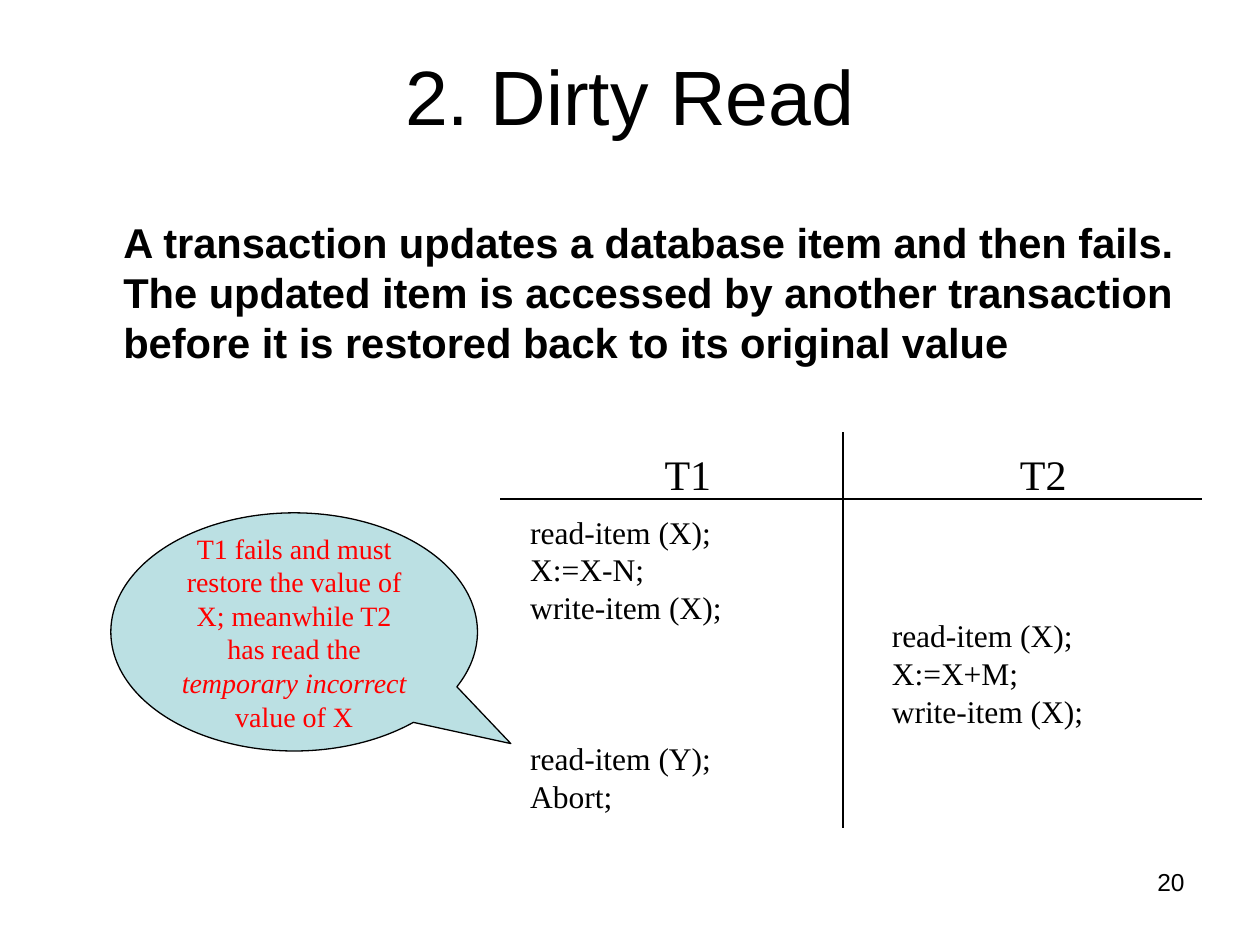
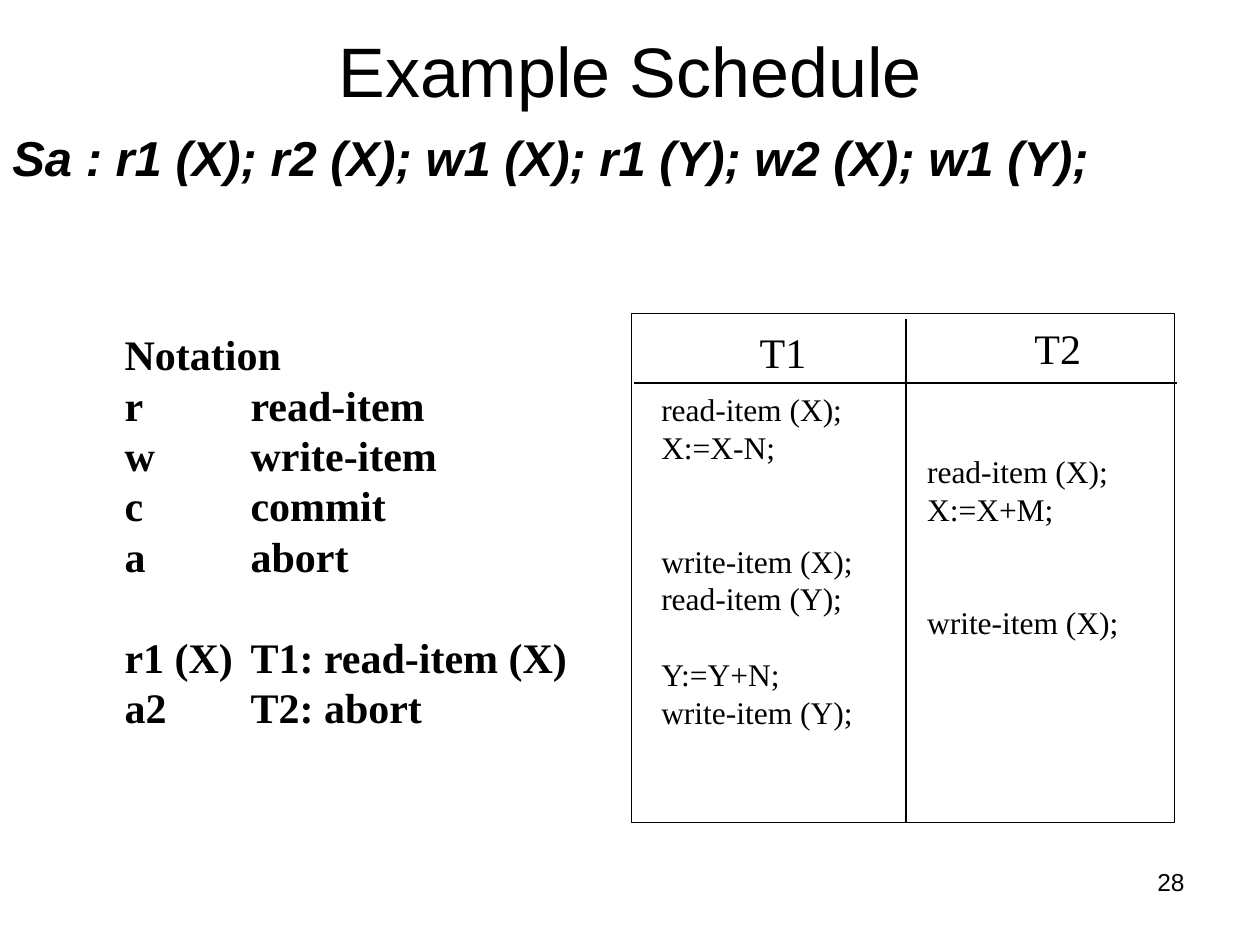
from lxml import etree
from pptx import Presentation
from pptx.dml.color import RGBColor
from pptx.enum.shapes import MSO_CONNECTOR, MSO_SHAPE
from pptx.enum.text import MSO_ANCHOR, PP_ALIGN
from pptx.oxml.ns import qn
from pptx.util import Inches, Pt

BLACK = RGBColor(0, 0, 0)
RED = RGBColor(0xFF, 0, 0)
PALE_BLUE = RGBColor(0xBB, 0xE0, 0xE3)
SANS, SERIF = "Arial", "Times New Roman"
LEFT, CENTER, RIGHT = PP_ALIGN.LEFT, PP_ALIGN.CENTER, PP_ALIGN.RIGHT
MIDDLE = MSO_ANCHOR.MIDDLE
STRAIGHT = MSO_CONNECTOR.STRAIGHT
CALLOUT, RECTANGLE = MSO_SHAPE.OVAL_CALLOUT, MSO_SHAPE.RECTANGLE
TITLE_ONLY = 5
LEADING = 1.2
HEADER_SIZE, STEP_SIZE = 24, 18
RULE_WIDTH = Pt(0.75)


def style(paragraph, face, size, align=LEFT, color=BLACK, bold=False, italic=None):
    paragraph.alignment = align
    paragraph.line_spacing = Pt(LEADING * size)
    font = paragraph.font
    font.name, font.size, font.bold, font.italic = face, Pt(size), bold, italic
    font.color.rgb = color


def add_text_frame(slide, box):
    frame = slide.shapes.add_textbox(*map(Inches, box)).text_frame
    frame.word_wrap = True
    return frame


def add_text(slide, box, text, face, size, **look):
    paragraph = add_text_frame(slide, box).paragraphs[0]
    paragraph.text = text
    style(paragraph, face, size, **look)


def add_lines(frame, lines, size):
    for index, (gap, text) in enumerate(lines):
        paragraph = frame.add_paragraph() if index else frame.paragraphs[0]
        paragraph.text = text
        paragraph.space_before = Pt(gap * LEADING * size)
        yield paragraph


def add_rule(slide, *ends):
    rule = slide.shapes.add_connector(STRAIGHT, *map(Inches, ends))
    rule.line.color.rgb = BLACK
    rule.line.width = RULE_WIDTH
    etree.SubElement(rule._element.spPr, qn("a:effectLst"))


def outline(shape):
    shape.shadow.inherit = False
    shape.line.color.rgb = BLACK
    shape.line.width = RULE_WIDTH


def add_titled_slide(prs, title, title_height, title_size, number):
    slide = prs.slides.add_slide(prs.slide_layouts[TITLE_ONLY])
    heading = slide.shapes.title
    heading.left, heading.top = Inches(0.5), Inches(0.25)
    heading.width, heading.height = Inches(9), Inches(title_height)
    heading.text_frame.text = title
    heading.text_frame.vertical_anchor = MIDDLE
    style(heading.text_frame.paragraphs[0], SANS, title_size, CENTER)
    add_text(slide, (7.17, 6.83, 2.33, 0.52), str(number), SANS, 14, align=RIGHT)
    return slide


def add_transaction(slide, box, name, header_gap, steps):
    frame = add_text_frame(slide, box)
    header = frame.paragraphs[0]
    header.text = name
    style(header, SERIF, HEADER_SIZE, CENTER)
    for index, (idle_lines, step) in enumerate(steps):
        paragraph = frame.add_paragraph()
        paragraph.text = step
        gap = idle_lines * LEADING * STEP_SIZE if index else header_gap
        paragraph.space_before = Pt(gap)
        style(paragraph, SERIF, STEP_SIZE)


def add_grid(slide, box, divider_x, header_y):
    left, top, width, height = box
    add_rule(slide, left, header_y, left + width, header_y)
    add_rule(slide, divider_x, top, divider_x, top + height)


def add_failure_callout(slide, box):
    callout = slide.shapes.add_shape(CALLOUT, *map(Inches, box))
    callout.adjustments[0], callout.adjustments[1] = 0.591, 0.469
    callout.fill.solid()
    callout.fill.fore_color.rgb = PALE_BLUE
    outline(callout)
    callout.text_frame.word_wrap = True
    callout.text_frame.vertical_anchor = MIDDLE
    paragraph = callout.text_frame.paragraphs[0]
    for text, italic in (
        ("T1 fails and must restore the value of X; meanwhile T2 has read the ", False),
        ("temporary incorrect", True),
        (" value of X", False),
    ):
        run = paragraph.add_run()
        run.text = text
        run.font.italic = italic
    style(paragraph, SERIF, 16, CENTER, RED)


def add_notation(slide, box):
    entries = [
        (0, "Notation"),
        (0, "r\tread-item"),
        (0, "w\twrite-item"),
        (0, "c\tcommit"),
        (0, "a\tabort"),
        (1, "r1 (X)\tT1: read-item (X)"),
        (0, "a2\tT2: abort"),
    ]
    for paragraph in add_lines(add_text_frame(slide, box), entries, HEADER_SIZE):
        tabs = etree.SubElement(paragraph._p.get_or_add_pPr(), qn("a:tabLst"))
        etree.SubElement(tabs, qn("a:tab"), pos=str(Inches(1)), algn="l")
        style(paragraph, SERIF, HEADER_SIZE, bold=True)


def build_dirty_read(prs):
    slide = add_titled_slide(prs, "2. Dirty Read", 1, 44, 20)
    add_text(
        slide, (0.88, 1.67, 9.12, 1.53),
        "A transaction updates a database item and then fails. The updated item is "
        "accessed by another transaction before it is restored back to its original value",
        SANS, 23.8, bold=True,
    )
    add_transaction(slide, (4.11, 3.51, 2.7, 3.76), "T1", 7.9, [
        (0, "read-item (X);"), (0, "X:=X-N;"), (0, "write-item (X);"),
        (3, "read-item (Y);"), (0, "Abort;"),
    ])
    add_transaction(slide, (6.98, 3.51, 2.6, 3.76), "T2", 67, [
        (0, "read-item (X);"), (0, "X:=X+M;"), (0, "write-item (X);"),
    ])
    add_grid(slide, (3.97, 3.43, 5.57, 3.14), 6.69, 3.96)
    add_failure_callout(slide, (0.88, 4.07, 2.91, 1.89))


def build_example_schedule(prs):
    slide = add_titled_slide(prs, "Example Schedule", 0.6, 40, 28)
    add_text(
        slide, (0, 0.96, 9.41, 1.2),
        "Sa : r1 (X); r2 (X); w1 (X); r1 (Y); w2 (X); w1 (Y);",
        SANS, 28, bold=True, italic=True,
    )
    add_transaction(slide, (5.15, 2.54, 2.13, 3.83), "T1", 7.9, [
        (0, "read-item (X);"), (0, "X:=X-N;"), (2, "write-item (X);"),
        (0, "read-item (Y);"), (1, "Y:=Y+N;"), (0, "write-item (Y);"),
    ])
    add_transaction(slide, (7.26, 2.51, 2.27, 3.83), "T2", 45.4, [
        (0, "read-item (X);"), (0, "X:=X+M;"), (2, "write-item (X);"),
    ])
    add_grid(slide, (5.03, 2.53, 4.31, 4), 7.19, 3.04)
    add_notation(slide, (0.89, 2.56, 3.79, 3.3))
    frame = slide.shapes.add_shape(RECTANGLE, *map(Inches, (5.01, 2.49, 4.31, 4.04)))
    frame.fill.background()
    outline(frame)


def main():
    prs = Presentation()
    prs.slide_width, prs.slide_height = Inches(10), Inches(7.5)
    build_dirty_read(prs)
    build_example_schedule(prs)
    prs.save("out.pptx")


if __name__ == "__main__":
    main()
